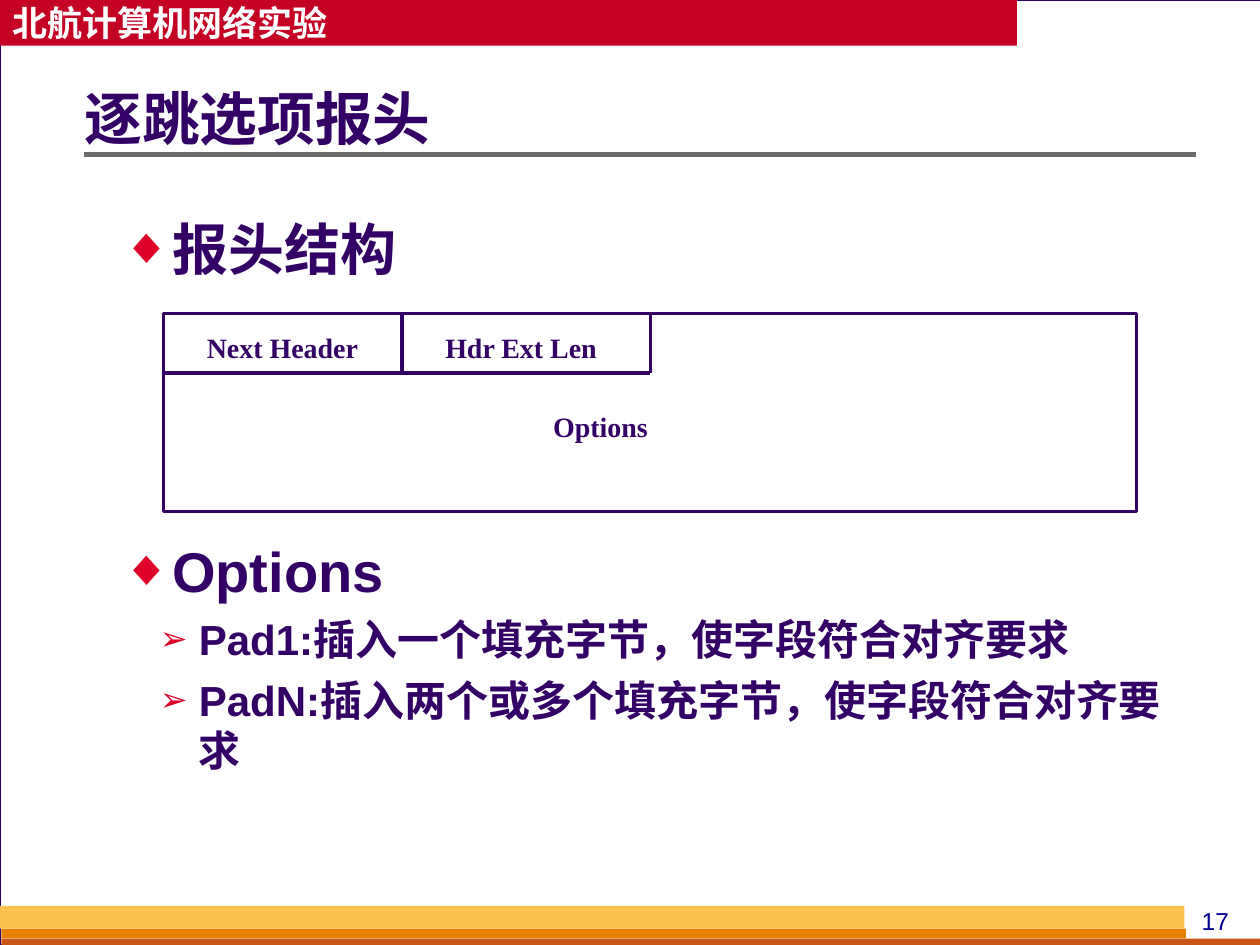
from dataclasses import dataclass
from lxml import etree
from pptx import Presentation, util as u
from pptx.dml.color import RGBColor
from pptx.enum import shapes, text
from pptx.oxml.ns import qn


@dataclass(frozen=True)
class Theme:
    ink: str = "330066"
    paper: str = "FFFFFF"
    backdrop: str = "D8DADA"
    banner: str = "C30224"
    bullet: str = "DF0029"
    rule: str = "6B6B6B"
    number: str = "000099"
    sans: str = "Arial"
    serif: str = "Times New Roman"
    cjk: str = "Noto Sans CJK SC"
    banner_size: float = 20
    title_size: float = 33
    label_size: float = 16
    number_size: float = 14


T = Theme()
BANNER = "北航计算机网络实验"
TITLE = "逐跳选项报头"
PAGE = "17"
BARS = [
    ((0.03, 18.72, 23.88, 0.2), "E88000"),
    ((0.03, 18.92, 25.4, 0.2), "C95616"),
    ((0, 18.26, 23.88, 0.46), "FCC24F"),
]
OUTLINE = [
    (4.22, 2.4, [(0, "报头结构")]),
    (10.71, 7, [
        (0, "Options"),
        (1, "Pad1:插入一个填充字节，使字段符合对齐要求"),
        (1, "PadN:插入两个或多个填充字节，使字段符合对齐要求"),
    ]),
]
LEVELS = [
    dict(char="◆", scale=90, margin=1.3, size=32, pitch=38, before=8),
    dict(char="➢", scale=80, margin=2.06, size=24, pitch=28.5, before=6),
]
HANG = 0.79
FRAME = (3.3, 6.32, 19.61, 3.99)
ROW_HEIGHT = 1.2
FIELD_EDGES = [8.1, 13.11]
LABELS = [(3.5, 6.53, "Next Header"), (8.31, 6.53, "Hdr Ext Len"), (9.91, 8.13, "Options")]


def rgb(value):
    return RGBColor.from_string(value)


def add_box(s, at, fill=None, line=None, width=0.75):
    sp = s.shapes.add_shape(shapes.MSO_SHAPE.RECTANGLE, *map(u.Cm, at))
    sp.shadow.inherit = False
    if fill:
        sp.fill.solid()
        sp.fill.fore_color.rgb = rgb(fill)
    else:
        sp.fill.background()
    if line:
        sp.line.color.rgb = rgb(line)
        sp.line.width = u.Pt(width)
    else:
        sp.line.fill.background()
    return sp


def add_line(s, x1, y1, x2, y2, color, width):
    line = s.shapes.add_connector(shapes.MSO_CONNECTOR.STRAIGHT, *map(u.Cm, (x1, y1, x2, y2)))
    line.line.color.rgb = rgb(color)
    line.line.width = u.Pt(width)
    etree.SubElement(line._element.spPr, qn("a:effectLst"))


def add_run(p, words, size, font, color, bold=True):
    r = p.add_run()
    r.text = words
    r.font.size = u.Pt(size)
    r.font.name = font
    r.font.bold = bold
    r.font.color.rgb = rgb(color)
    etree.SubElement(r._r.get_or_add_rPr(), qn("a:ea"), typeface=T.cjk)


def add_text_frame(s, at, anchor=text.MSO_ANCHOR.TOP):
    tf = s.shapes.add_textbox(*map(u.Cm, at)).text_frame
    tf.word_wrap = True
    tf.vertical_anchor = anchor
    return tf


def add_centred(s, at, words, *style):
    p = add_text_frame(s, at).paragraphs[0]
    p.alignment = text.PP_ALIGN.CENTER
    add_run(p, words, *style)


def set_bullet(p, level):
    pPr = p._p.get_or_add_pPr()
    pPr.set("marL", str(u.Cm(level["margin"])))
    pPr.set("indent", str(-u.Cm(HANG)))
    color = etree.SubElement(pPr, qn("a:buClr"))
    etree.SubElement(color, qn("a:srgbClr"), val=T.bullet)
    etree.SubElement(pPr, qn("a:buSzPct"), val=str(level["scale"] * 1000))
    etree.SubElement(pPr, qn("a:buFont"), typeface=T.sans)
    etree.SubElement(pPr, qn("a:buChar"), char=level["char"])


def add_outline(s, top, height, items):
    tf = add_text_frame(s, (1.7, top, 22.4, height))
    for i, (depth, words) in enumerate(items):
        level = LEVELS[depth]
        p = tf.add_paragraph() if i else tf.paragraphs[0]
        p.level = depth
        set_bullet(p, level)
        p.line_spacing = u.Pt(level["pitch"])
        if i:
            p.space_before = u.Pt(level["before"])
        add_run(p, words, level["size"], T.sans, T.ink)


def add_master_parts(s):
    s.background.fill.solid()
    s.background.fill.fore_color.rgb = rgb(T.backdrop)
    add_box(s, (0, 0, 25.43, 19.05), T.paper, T.ink)
    tf = add_box(s, (0, 0, 20.5, 0.92), T.banner).text_frame
    tf.vertical_anchor = text.MSO_ANCHOR.MIDDLE
    tf.paragraphs[0].alignment = text.PP_ALIGN.LEFT
    add_run(tf.paragraphs[0], BANNER, T.banner_size, T.cjk, T.paper)
    for at, fill in BARS:
        add_box(s, at, fill)
    add_centred(s, (23.7, 18.14, 1.6, 0.86), PAGE, T.number_size, T.sans, T.number, False)
    add_line(s, 1.7, 3.12, 24.1, 3.12, T.rule, 3)


def add_header_diagram(s):
    left, top = FRAME[:2]
    bottom = top + ROW_HEIGHT
    add_box(s, FRAME, line=T.ink, width=2)
    add_line(s, left, bottom, FIELD_EDGES[-1], bottom, T.ink, 2)
    for x in FIELD_EDGES:
        add_line(s, x, bottom, x, top, T.ink, 2)
    for x, y, words in LABELS:
        add_centred(s, (x, y, 4.39, 0.94), words, T.label_size, T.serif, T.ink)


def main():
    """Build the hop-by-hop options header slide."""
    prs = Presentation()
    prs.slide_width, prs.slide_height = u.Cm(25.4), u.Cm(19.05)
    s = prs.slides.add_slide(prs.slide_layouts[6])
    add_master_parts(s)
    tf = add_text_frame(s, (1.7, 1.17, 22.4, 2.57), text.MSO_ANCHOR.MIDDLE)
    tf.margin_left = 0
    tf.paragraphs[0].line_spacing = 0.9
    add_run(tf.paragraphs[0], TITLE, T.title_size, T.cjk, T.ink)
    for block in OUTLINE:
        add_outline(s, *block)
    add_header_diagram(s)
    prs.save("out.pptx")


if __name__ == "__main__":
    main()
